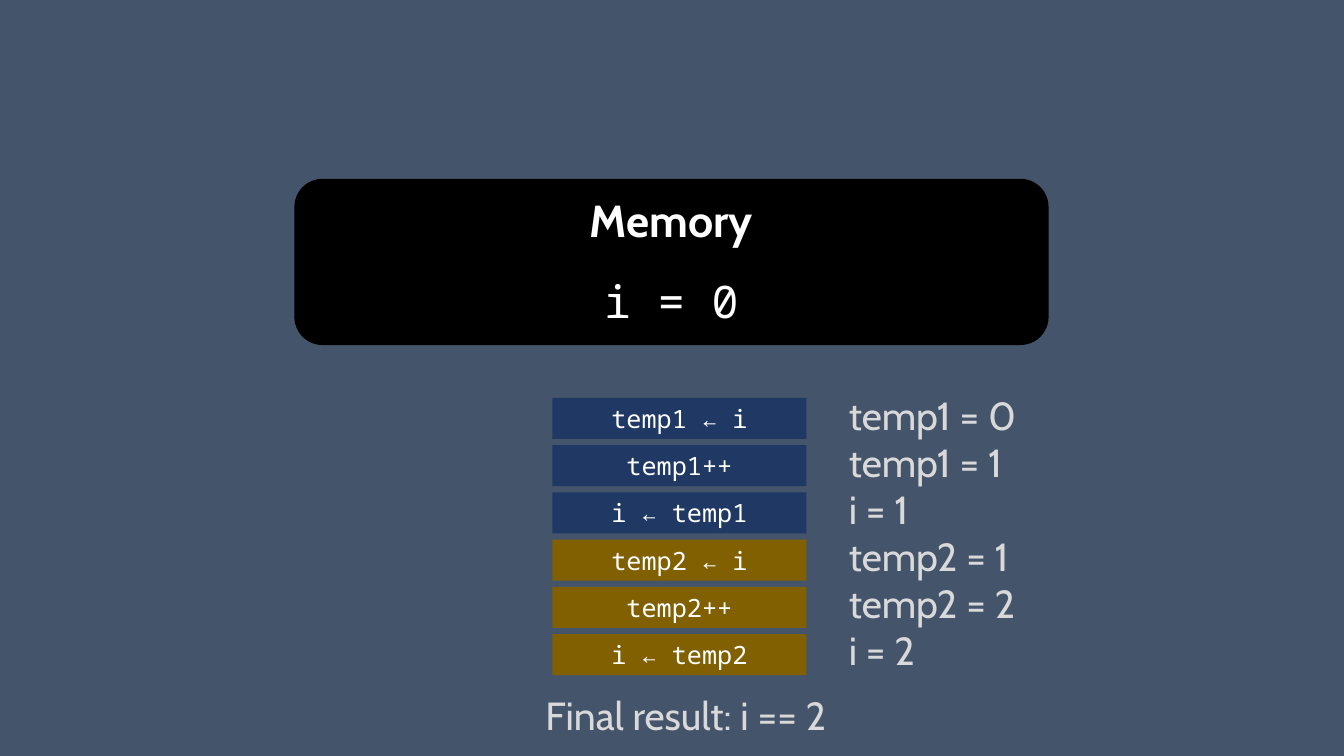
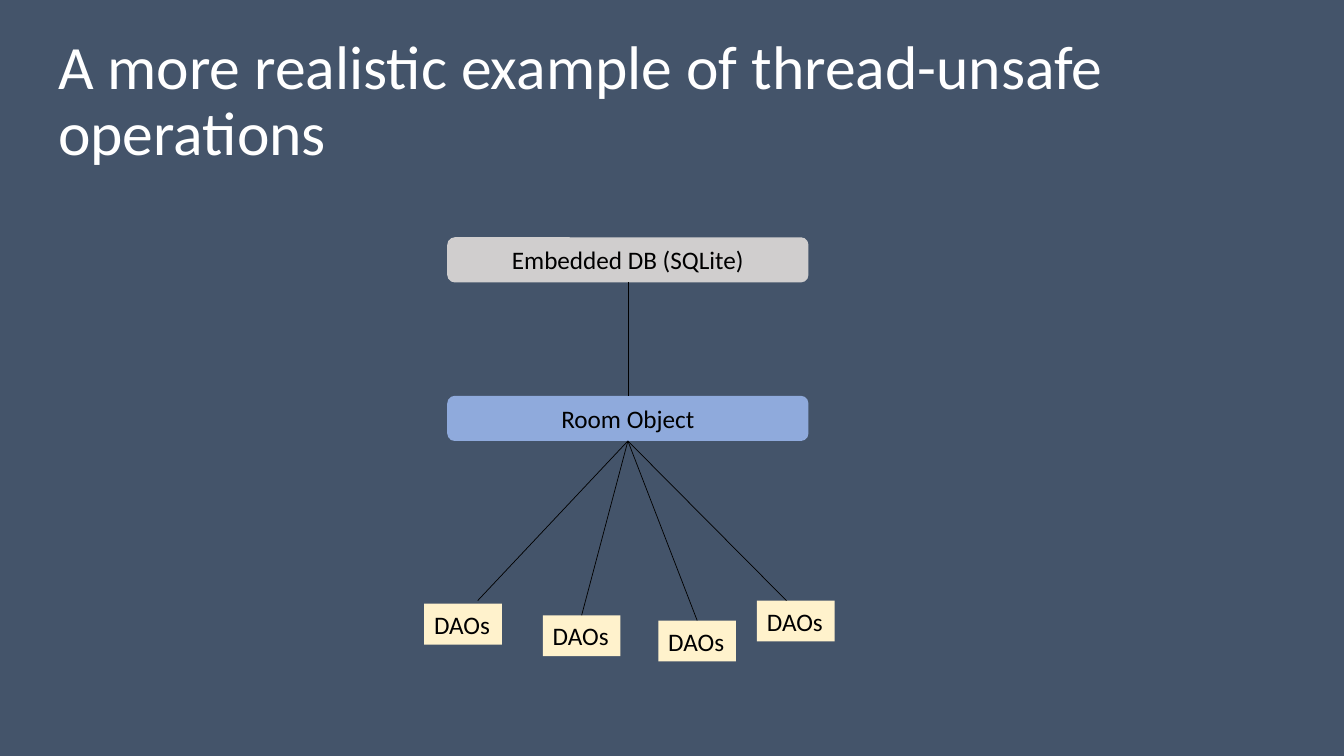
from lxml import etree
from pptx import Presentation
from pptx.dml.color import RGBColor
from pptx.enum.shapes import MSO_CONNECTOR, MSO_SHAPE
from pptx.enum.text import MSO_ANCHOR as Anchor, PP_ALIGN as Align
from pptx.oxml.ns import qn
from pptx.util import Pt

PX = 9525  # EMU per px, 96 px to the inch
BACKGROUND, BLACK, WHITE, LIGHT = "44546A", "000000", "FFFFFF", "D9D9D9"
BLUE, GOLD, GREY, SKY, CREAM = "203864", "806000", "D0CECE", "8FAADC", "FFF2CC"
HEADING, BODY, MONO = "Cabin", "Calibri", "Noto Sans Mono"
TOP, BOTTOM = 0, 2  # connection sites


def px(*lengths):
    return [n * PX for n in lengths]


def rgb(color):
    return RGBColor.from_string(color)


def add_slide(prs):
    s = prs.slides.add_slide(prs.slide_layouts[6])
    s.background.fill.solid()
    s.background.fill.fore_color.rgb = rgb(BACKGROUND)
    return s


def set_text(sp, lines, font, size, color, align=Align.LEFT, spacing=1.0):
    tf = sp.text_frame
    tf.word_wrap = True
    tf.text = "\n".join(lines)
    for p in tf.paragraphs:
        p.alignment = align
        p.line_spacing = spacing
        for r in p.runs:
            r.font.name, r.font.size = font, Pt(size)
            r.font.color.rgb = rgb(color)
    return tf


def add_text(s, box, lines, font, size, color, spacing=1.0):
    sp = s.shapes.add_textbox(*px(*box))
    return set_text(sp, lines, font, size, color, spacing=spacing)


def add_box(s, kind, box, fill):
    sp = s.shapes.add_shape(kind, *px(*box))
    sp.shadow.inherit = False
    sp.fill.solid()
    sp.fill.fore_color.rgb = rgb(fill)
    sp.line.fill.background()
    return sp


def add_line(s, start, target=None, point=(0, 0)):
    """Run from the bottom of start to the top of target, or to a free point."""
    line = s.shapes.add_connector(MSO_CONNECTOR.STRAIGHT, *px(0, 0, *point))
    line.begin_connect(start, BOTTOM)
    if target is not None:
        line.end_connect(target, TOP)
    line.line.color.rgb = rgb(BLACK)
    line.line.width = Pt(0.5)
    etree.SubElement(line._element.spPr, qn("a:effectLst"))


def build_memory_slide(prs):
    s = add_slide(prs)

    # Memory panel
    panel = add_box(s, MSO_SHAPE.ROUNDED_RECTANGLE, (281, 171, 717, 157), BLACK)
    panel.line.color.rgb = rgb(BLACK)
    panel.line.width = Pt(1)
    tf = set_text(panel, ["Memory", "i = 0"], HEADING, 32, WHITE, Align.CENTER, 1.5)
    tf.margin_bottom = 34 * PX
    title, value = (p.runs[0].font for p in tf.paragraphs)
    title.bold = True
    value.name = MONO

    # Instructions of both threads, with the value after each
    steps = [
        ("temp1 ← i", BLUE, "temp1 = 0"),
        ("temp1++", BLUE, "temp1 = 1"),
        ("i ← temp1", BLUE, "i = 1"),
        ("temp2 ← i", GOLD, "temp2 = 1"),
        ("temp2++", GOLD, "temp2 = 2"),
        ("i ← temp2", GOLD, "i = 2"),
    ]
    for row, (code, fill, _) in enumerate(steps):
        sp = add_box(s, MSO_SHAPE.RECTANGLE, (526, 379 + 45 * row, 242, 39), fill)
        set_text(sp, [code], MONO, 18, WHITE, Align.CENTER)
    values = [state for _, _, state in steps]
    add_text(s, (799, 368, 398, 281), values, HEADING, 28, LIGHT)
    add_text(s, (510, 654, 295, 55), ["Final result: i == 2"], HEADING, 28, LIGHT)


def build_database_slide(prs):
    s = add_slide(prs)
    title = "A more realistic example of thread-unsafe operations"
    tf = add_text(s, (46, 28, 1234, 139), [title], BODY, 44, WHITE, 0.9)
    tf.vertical_anchor = Anchor.MIDDLE

    # Database and the object that wraps it
    layers = []
    for label, top, fill in [("Embedded DB (SQLite)", 226, GREY),
                             ("Room Object", 377, SKY)]:
        sp = add_box(s, MSO_SHAPE.ROUNDED_RECTANGLE, (426, top, 344, 43), fill)
        set_text(sp, [label], BODY, 18, BLACK, Align.CENTER)
        layers.append(sp)
    database, room = layers
    add_line(s, database, room)

    # DAOs; the outer two lines end at free points
    for left, top, end in [(404, 575, (455, 572)), (517, 586, None),
                           (627, 591, None), (721, 572, (749, 572))]:
        dao = add_box(s, MSO_SHAPE.RECTANGLE, (left, top, 74, 39), CREAM)
        set_text(dao, ["DAOs"], BODY, 18, BLACK)
        if end:
            add_line(s, room, point=end)
        else:
            add_line(s, room, dao)


def main():
    prs = Presentation()
    prs.slide_width, prs.slide_height = px(1280, 720)
    build_memory_slide(prs)
    build_database_slide(prs)
    prs.save("out.pptx")


if __name__ == "__main__":
    main()
